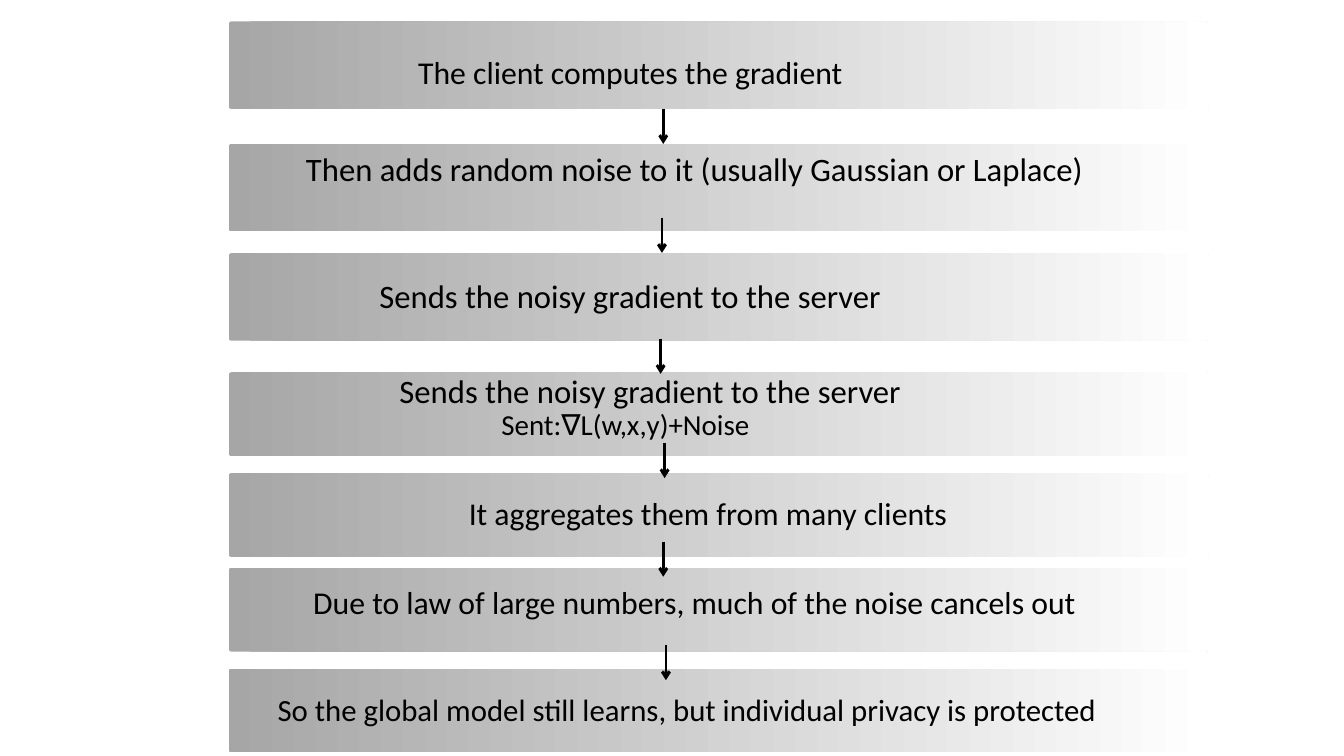
from lxml import etree
from pptx import Presentation
from pptx.dml.color import RGBColor
from pptx.enum.shapes import MSO_CONNECTOR, MSO_SHAPE
from pptx.enum.text import MSO_AUTO_SIZE, PP_ALIGN
from pptx.oxml.ns import qn
from pptx.util import Cm, Pt

ROUNDED = MSO_SHAPE.ROUNDED_RECTANGLE
STRAIGHT = MSO_CONNECTOR.STRAIGHT
CENTER, LEFT = PP_ALIGN.CENTER, PP_ALIGN.LEFT

COLORS = {"bar_start": "A6A6A6", "bar_end": "FFFFFF", "ink": "000000"}
FONT = "Calibri"
LINE_SPACING = 1.4
BAR_LEFT, BAR_WIDTH, CORNER = 8.64, 37.05, 0.11
ARROW_LENGTH = 1.33

# Bars: top, height (cm)
BARS = [(0.81, 3.31), (5.44, 3.31), (9.57, 3.31), (14.07, 3.17),
        (17.88, 3.17), (21.46, 3.17), (25.27, 3.17)]

# Labels: text, left, top, width (cm), size (pt), alignment
LABELS = [
    ("The client computes the gradient", 7.06, 1.75, 33.53, 34, CENTER),
    ("Then adds random noise to it (usually Gaussian or Laplace)", 9.5, 5.36, 33.53, 35, CENTER),
    ("Sends the noisy gradient to the server", 7.06, 10.16, 33.53, 35, CENTER),
    ("Sends the noisy gradient to the server", 7.82, 13.77, 33.53, 35, CENTER),
    ("Sent:∇L(w,x,y)+Noise", 5.11, 15.16, 37.05, 31, CENTER),
    ("It aggregates them from many clients", 8.41, 18.42, 36.7, 34, CENTER),
    ("Due to law of large numbers, much of the noise cancels out", 9.98, 21.79, 32.54, 34, CENTER),
    ("So the global model still learns, but individual privacy is protected",
     10.49, 25.88, 31.2, 33, LEFT),
]

# Arrows: x, top (cm)
ARROWS = [(25.07, 4.11), (25.02, 8.23), (24.97, 12.8),
          (25.12, 16.74), (25.07, 20.47), (25.17, 24.38)]

presentation = Presentation()
presentation.slide_width = Cm(50.8)
presentation.slide_height = Cm(28.575)
slide = presentation.slides.add_slide(presentation.slide_layouts[6])

for top, height in BARS:
    bar = slide.shapes.add_shape(ROUNDED, Cm(BAR_LEFT), Cm(top), Cm(BAR_WIDTH), Cm(height))
    bar.adjustments[0] = CORNER / height
    bar.shadow.inherit = False
    bar.line.fill.background()
    bar.fill.gradient()
    bar.fill.gradient_angle = 0
    for stop, name in zip(bar.fill.gradient_stops, ("bar_start", "bar_end")):
        stop.color.rgb = RGBColor.from_string(COLORS[name])

for text, left, top, width, size, alignment in LABELS:
    label = slide.shapes.add_textbox(Cm(left), Cm(top), Cm(width), Pt(size * LINE_SPACING))
    text_frame = label.text_frame
    text_frame.margin_left = text_frame.margin_right = 0
    text_frame.margin_top = text_frame.margin_bottom = 0
    text_frame.word_wrap = True
    text_frame.auto_size = MSO_AUTO_SIZE.SHAPE_TO_FIT_TEXT
    text_frame.text = text
    paragraph = text_frame.paragraphs[0]
    paragraph.alignment = alignment
    paragraph.line_spacing = Pt(size * LINE_SPACING)
    font = paragraph.runs[0].font
    font.name = FONT
    font.size = Pt(size)
    font.color.rgb = RGBColor.from_string(COLORS["ink"])

for x, top in ARROWS:
    arrow = slide.shapes.add_connector(STRAIGHT, Cm(x), Cm(top), Cm(x), Cm(top + ARROW_LENGTH))
    arrow.line.width = Pt(3)
    arrow.line.color.rgb = RGBColor.from_string(COLORS["ink"])
    etree.SubElement(arrow.line._get_or_add_ln(), qn("a:tailEnd"), type="arrow")
    etree.SubElement(arrow._element.spPr, qn("a:effectLst"))

presentation.save("out.pptx")
